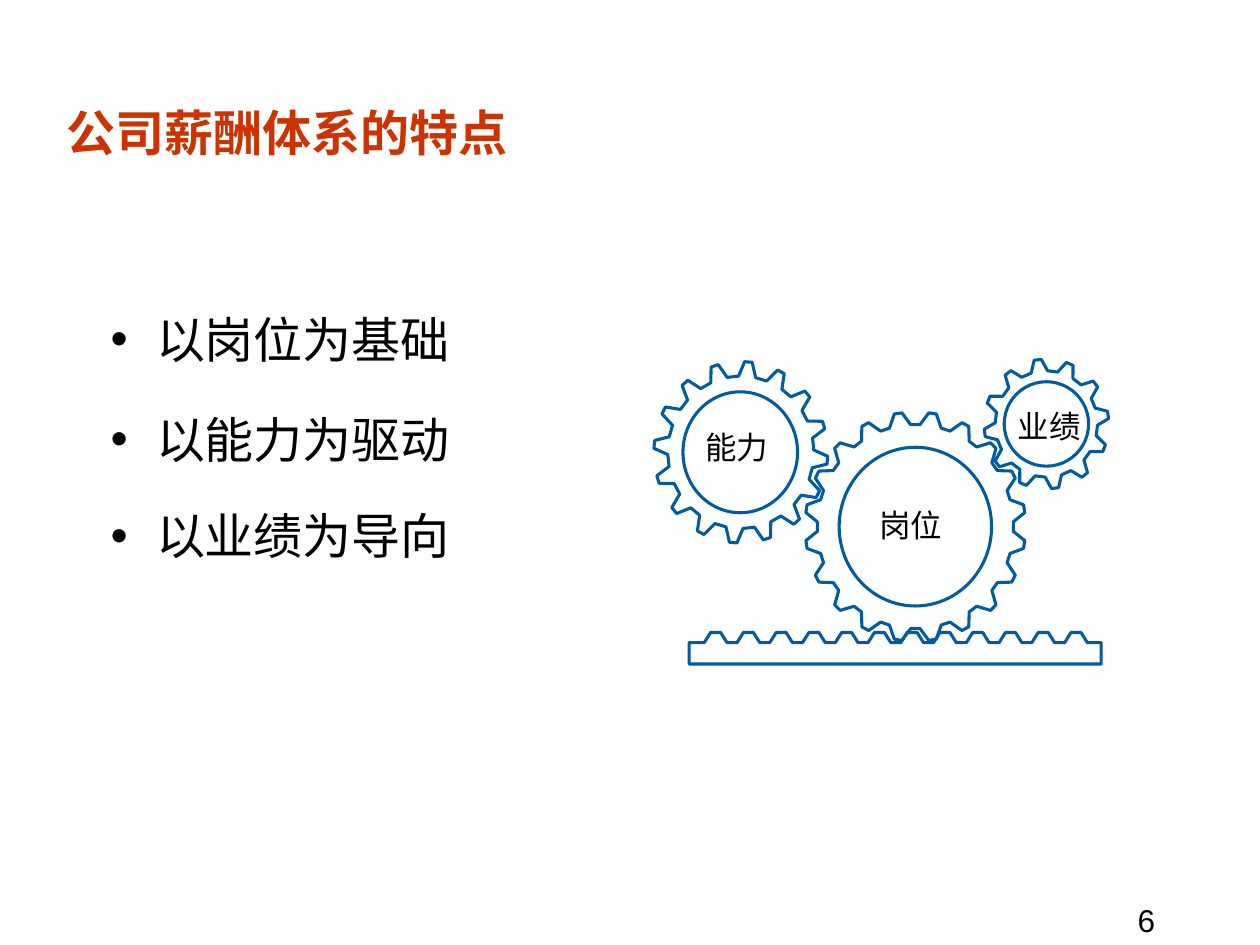
import math
from dataclasses import dataclass

from lxml import etree
from pptx import Presentation
from pptx import util as u
from pptx.dml.color import RGBColor
from pptx.enum import text as t
from pptx.enum.shapes import MSO_SHAPE
from pptx.oxml.ns import qn


@dataclass(frozen=True)
class Theme:
    font: str = "Arial"
    title: str = "CC3300"
    ink: str = "000000"
    gear: str = "005BA0"
    heading_size: int = 28
    label_size: int = 18
    outline: float = 1.75


THEME = Theme()


def write(paragraph, text, size, color=THEME.ink, bold=False, before=0, spacing=None):
    paragraph.text = text
    paragraph.alignment = t.PP_ALIGN.LEFT
    paragraph.space_before = u.Pt(before)
    if spacing:
        paragraph.line_spacing = spacing
    font = paragraph.font
    font.name, font.size, font.bold = THEME.font, u.Pt(size), bold
    font.color.rgb = RGBColor.from_string(color)


def add_bullet(paragraph, margin, hanging):
    properties = paragraph._p.get_or_add_pPr()
    properties.set("marL", str(u.Inches(margin)))
    properties.set("indent", str(-u.Inches(hanging)))
    etree.SubElement(properties, qn("a:buFont")).set("typeface", THEME.font)
    etree.SubElement(properties, qn("a:buChar")).set("char", "•")


def text_frame(slide, box, wrap=True):
    frame = slide.shapes.add_textbox(*map(u.Inches, box)).text_frame
    frame.word_wrap = wrap
    return frame


def add_label(slide, text, box, wrap=False):
    frame = text_frame(slide, box, wrap)
    write(frame.paragraphs[0], text, THEME.label_size)


def outline(shape):
    shape.shadow.inherit = False
    shape.fill.background()
    shape.line.color.rgb = RGBColor.from_string(THEME.gear)
    shape.line.width = u.Pt(THEME.outline)


def add_polygon(slide, points):
    corners = [(u.Inches(x), u.Inches(y)) for x, y in points]
    builder = slide.shapes.build_freeform(*corners[0], scale=1.0)
    builder.add_line_segments(corners[1:], close=True)
    outline(builder.convert_to_shape())


def add_gear(slide, box, hub, teeth, phase, root, valley):
    """Draw a toothed rim in box around a round hub.

    phase is the angle of the first tooth in degrees, root the valley radius
    as a share of the tip radius, valley its half width as a share of the pitch.
    """
    left, top, width, height = box
    pitch = 360 / teeth
    corners = [(-0.11, 1), (0.11, 1), (0.5 - valley, root), (0.5 + valley, root)]
    points = []
    for tooth in range(teeth):
        for offset, radius in corners:
            angle = math.radians(phase + (tooth + offset) * pitch)
            points.append((left + width / 2 * (1 + radius * math.cos(angle)),
                           top + height / 2 * (1 + radius * math.sin(angle))))
    add_polygon(slide, points)
    outline(slide.shapes.add_shape(MSO_SHAPE.OVAL, *map(u.Inches, hub)))


def add_rack(slide, box, teeth=12, pitch=0.26, first=0.12, depth=0.08):
    left, top, width, height = box
    right, bottom, root = left + width, top + height, top + depth
    points = [(left, root)]
    for tooth in range(teeth):
        start = left + first + tooth * pitch
        points += [(start, root), (start + 0.05, top),
                   (start + 0.13, top), (start + 0.18, root)]
    add_polygon(slide, points + [(right, root), (right, bottom), (left, bottom)])


def add_title(slide, text, box):
    title = slide.shapes.title
    title.left, title.top, title.width, title.height = map(u.Inches, box)
    title.text_frame.vertical_anchor = t.MSO_ANCHOR.MIDDLE
    write(title.text_frame.paragraphs[0], text, THEME.heading_size,
          color=THEME.title, bold=True)


def add_features(slide, box):
    frame = text_frame(slide, box)
    features = [("以岗位为基础", 0), ("以能力为驱动", 7), ("以业绩为导向", 4.5)]
    for index, (feature, before) in enumerate(features):
        paragraph = frame.add_paragraph() if index else frame.paragraphs[0]
        add_bullet(paragraph, margin=0.47, hanging=0.36)
        write(paragraph, feature, THEME.heading_size, before=before, spacing=1.5)


def add_gear_train(slide, left, top):
    def at(x, y, width, height):
        return left + x, top + y, width, height

    add_gear(slide, at(1.2, 0.42, 1.75, 1.82), at(1.47, 0.7, 1.21, 1.26),
             teeth=20, phase=9, root=0.89, valley=0.15)
    add_gear(slide, at(2.62, 0, 0.99, 1.03), at(2.78, 0.18, 0.67, 0.67),
             teeth=12, phase=-8, root=0.82, valley=0.19)
    add_gear(slide, at(0, 0.02, 1.38, 1.44), at(0.23, 0.26, 0.91, 0.96),
             teeth=16, phase=5, root=0.84, valley=0.2)
    add_rack(slide, at(0.28, 2.17, 3.27, 0.25))
    add_label(slide, "岗位", at(1.69, 1.12, 0.7, 0.4))
    add_label(slide, "能力", at(0.31, 0.5, 0.7, 0.4))
    add_label(slide, "业绩", at(2.79, 0.33, 0.7, 0.4))


def main():
    presentation = Presentation()
    presentation.slide_width = u.Inches(10)
    presentation.slide_height = u.Inches(7.5)
    slide = presentation.slides.add_slide(presentation.slide_layouts[5])
    add_title(slide, "公司薪酬体系的特点", (0.43, 0.76, 9, 0.58))
    add_features(slide, (0.67, 2.17, 8.5, 4.45))
    add_gear_train(slide, left=5.19, top=2.85)
    add_label(slide, "6", (8.93, 7.1, 0.58, 0.34), wrap=True)
    presentation.save("out.pptx")


if __name__ == "__main__":
    main()
